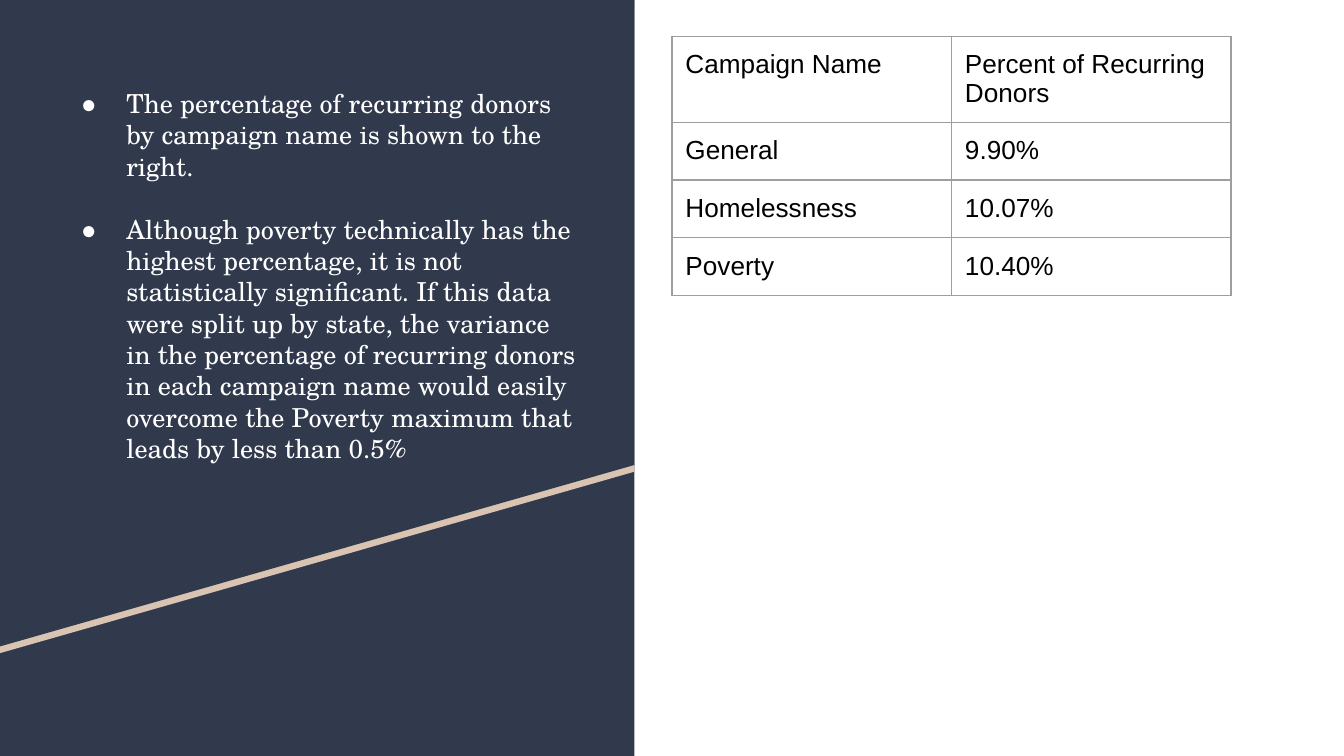
from lxml.etree import SubElement
from pptx import Presentation
from pptx.dml.color import RGBColor
from pptx.enum.shapes import MSO_SHAPE
from pptx.enum.text import MSO_ANCHOR, MSO_AUTO_SIZE, PP_ALIGN
from pptx.oxml.ns import qn
from pptx.util import Inches, Pt

COLORS = {
    "navy": "31394D",
    "sand": "D9C4B1",
    "white": "FFFFFF",
    "black": "000000",
    "border": "9E9E9E",
}
FINDINGS = [
    "The percentage of recurring donors by campaign name is shown to the right.",
    "Although poverty technically has the highest percentage, it is not statistically "
    "significant. If this data were split up by state, the variance in the percentage of "
    "recurring donors in each campaign name would easily overcome the Poverty maximum "
    "that leads by less than 0.5%",
]
CAMPAIGNS = [
    ("Campaign Name", "Percent of Recurring Donors"),
    ("General", "9.90%"),
    ("Homelessness", "10.07%"),
    ("Poverty", "10.40%"),
]
SLIDE_WIDTH = 10
SLIDE_HEIGHT = SLIDE_WIDTH * 9 / 16
PANEL_WIDTH = 4.72
STRIPE_DROP = 0.05
DIAGONAL_LEFT, DIAGONAL_RIGHT = 4.81, 3.46
COLUMN_WIDTH = 2.08
HEADER_HEIGHT, ROW_HEIGHT = 0.64, 0.43
TEXT_INSET = 0.1
FONT_SIZE = 14
FINDINGS_FONT, TABLE_FONT = "TeX Gyre Schola", "Arial"


def color(name):
    return RGBColor.from_string(COLORS[name])


def paint(shape, fill):
    shape.shadow.inherit = False
    shape.fill.solid()
    shape.fill.fore_color.rgb = color(fill)
    shape.line.fill.background()


def add_slanted_area(slide, top, fill):
    """Fill the panel from top down to the diagonal, shifted down by top."""
    corners = [
        (PANEL_WIDTH, top),
        (PANEL_WIDTH, DIAGONAL_RIGHT + top),
        (0, DIAGONAL_LEFT + top),
    ]
    builder = slide.shapes.build_freeform(0, Inches(top))
    builder.add_line_segments([(Inches(x), Inches(y)) for x, y in corners], close=True)
    paint(builder.convert_to_shape(), fill)


def add_panel(slide):
    panel = slide.shapes.add_shape(
        MSO_SHAPE.RECTANGLE, 0, 0, Inches(PANEL_WIDTH), Inches(SLIDE_HEIGHT)
    )
    paint(panel, "navy")
    add_slanted_area(slide, STRIPE_DROP, "sand")
    add_slanted_area(slide, 0, "navy")


def format_text(paragraph, font_name, color_name):
    paragraph.alignment = PP_ALIGN.LEFT
    for run in paragraph.runs:
        for name, value in {"name": font_name, "size": Pt(FONT_SIZE), "bold": False}.items():
            setattr(run.font, name, value)
        run.font.color.rgb = color(color_name)


def add_bullet(paragraph):
    properties = paragraph._p.get_or_add_pPr()
    properties.set("marL", str(Inches(0.5)))
    properties.set("indent", str(Inches(-0.35)))
    bullet_color = SubElement(properties, qn("a:buClr"))
    SubElement(bullet_color, qn("a:srgbClr"), val=COLORS["white"])
    SubElement(properties, qn("a:buSzPts"), val=str(FONT_SIZE * 100))
    SubElement(properties, qn("a:buFont"), typeface=FINDINGS_FONT)
    SubElement(properties, qn("a:buChar"), char="●")


def set_margins(target):
    for side in ("left", "right", "top", "bottom"):
        setattr(target, f"margin_{side}", Inches(TEXT_INSET))


def fill_findings(slide):
    title = slide.shapes.title
    box = {"left": 0.34, "top": 0.55, "width": 4.05, "height": 3.33}
    for name, value in box.items():
        setattr(title, name, Inches(value))
    frame = title.text_frame
    frame.word_wrap = True
    frame.auto_size = MSO_AUTO_SIZE.NONE
    frame.vertical_anchor = MSO_ANCHOR.TOP
    set_margins(frame)
    frame.text = "\n".join(FINDINGS)
    for paragraph in frame.paragraphs:
        format_text(paragraph, FINDINGS_FONT, "white")
        paragraph.space_before = Pt(0)
        add_bullet(paragraph)
    frame.paragraphs[0].space_after = Pt(FONT_SIZE * 1.2)
    # Bring the text in front of the panel
    title.element.getparent().append(title.element)


def add_borders(cell):
    properties = cell._tc.get_or_add_tcPr()
    for edge in ("lnL", "lnR", "lnT", "lnB"):
        line = SubElement(properties, qn(f"a:{edge}"), w=str(Pt(0.75)))
        fill = SubElement(line, qn("a:solidFill"))
        SubElement(fill, qn("a:srgbClr"), val=COLORS["border"])


def add_campaign_table(slide):
    row_count, column_count = len(CAMPAIGNS), len(CAMPAIGNS[0])
    heights = [HEADER_HEIGHT] + [ROW_HEIGHT] * (row_count - 1)
    table = slide.shapes.add_table(
        row_count, column_count, Inches(5), Inches(0.27),
        Inches(COLUMN_WIDTH * column_count), Inches(sum(heights)),
    ).table
    table.first_row = table.horz_banding = False
    for column in table.columns:
        column.width = Inches(COLUMN_WIDTH)
    for row, height, texts in zip(table.rows, heights, CAMPAIGNS):
        row.height = Inches(height)
        for cell, text in zip(row.cells, texts):
            cell.text = text
            set_margins(cell)
            add_borders(cell)
            cell.fill.background()
            format_text(cell.text_frame.paragraphs[0], TABLE_FONT, "black")


def main():
    presentation = Presentation()
    presentation.slide_width = Inches(SLIDE_WIDTH)
    presentation.slide_height = Inches(SLIDE_HEIGHT)
    slide = presentation.slides.add_slide(presentation.slide_layouts.get_by_name("Title Only"))
    add_panel(slide)
    fill_findings(slide)
    add_campaign_table(slide)
    presentation.save("out.pptx")


if __name__ == "__main__":
    main()
